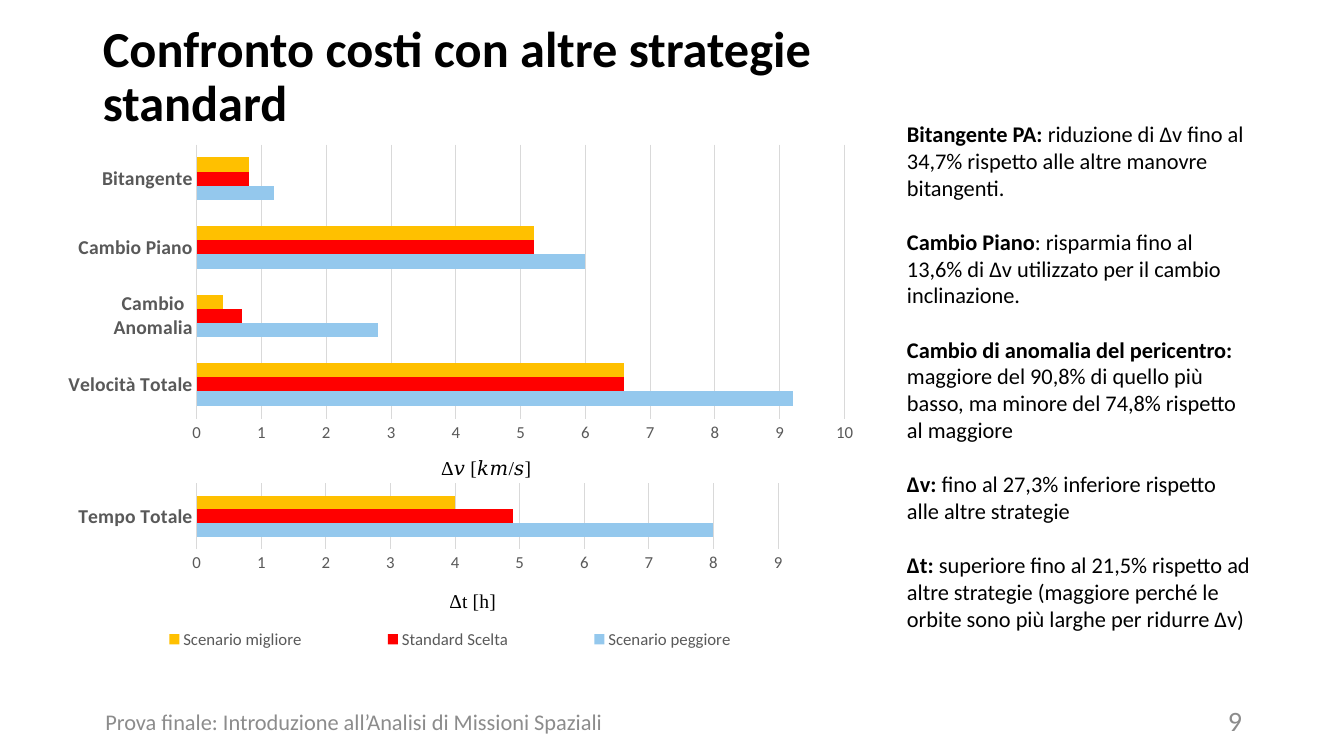
from dataclasses import dataclass

from lxml.etree import SubElement
from pptx import Presentation
from pptx.chart.data import CategoryChartData
from pptx.dml.color import RGBColor
from pptx.enum.chart import XL_CHART_TYPE, XL_LEGEND_POSITION, XL_TICK_MARK
from pptx.enum.text import MSO_ANCHOR, MSO_AUTO_SIZE, PP_ALIGN
from pptx.oxml import parse_xml
from pptx.oxml.ns import nsdecls, qn
from pptx.util import Inches, Pt

WIDE, HIGH = Inches(13.333), Inches(7.5)

BLACK = RGBColor(0x00, 0x00, 0x00)
GREY = RGBColor(0x8C, 0x8C, 0x8C)
SLATE = RGBColor(0x59, 0x59, 0x59)
PALE = RGBColor(0xD9, 0xD9, 0xD9)
BLUE = RGBColor(0x94, 0xC8, 0xED)
RED = RGBColor(0xFF, 0x00, 0x00)
GOLD = RGBColor(0xFF, 0xC0, 0x00)

SANS, SERIF = "Calibri", "Times New Roman"


@dataclass(frozen=True)
class Box:
    """Place on the slide, in percent of its width and height."""
    left: float
    top: float
    width: float
    height: float

    def emu(self) -> tuple:
        return (int(WIDE * self.left / 100), int(HIGH * self.top / 100),
                int(WIDE * self.width / 100), int(HIGH * self.height / 100))


@dataclass(frozen=True)
class Bars:
    """A bar chart; layouts are shares of the chart's own frame."""
    box: Box
    cats: tuple
    names: tuple
    rows: tuple
    peak: int
    unit: str
    plot: tuple
    label: tuple
    legend: tuple = ()


@dataclass(frozen=True)
class Note:
    head: str
    body: str


CHARTS = (
    Bars(Box(4.13, 15.2, 61.8, 49.07),
         ("Velocità Totale", "Cambio Anomalia", "Cambio Piano", "Bitangente"),
         ("Series 1", "Series 2", "Series 3"),
         ((9.2, 2.8, 6, 1.2), (6.6, 0.7, 5.2, 0.8), (6.6, 0.4, 5.2, 0.8)),
         10, "Δ𝑣 [𝑘𝑚/𝑠]", (0.17, 0.08, 0.78, 0.74), (0.46, 0.91)),
    Bars(Box(4.13, 61.6, 61.8, 29.07),
         ("Tempo Totale",),
         ("Scenario peggiore", "Standard Scelta", "Scenario migliore"),
         ((8,), (4.9,), (4,)),
         9, "Δt [h]", (0.17, 0.08, 0.7, 0.3), (0.47, 0.54),
         (0.04, 0.72, 0.87, 0.14)),
)

NOTES = (
    Note("Bitangente PA: ", "riduzione di Δv fino al 34,7% rispetto alle altre "
         "manovre bitangenti."),
    Note("Cambio Piano", ": risparmia fino al 13,6% di Δv utilizzato per il "
         "cambio inclinazione."),
    Note("Cambio di anomalia del pericentro: ", "maggiore del 90,8% di quello "
         "più basso, ma minore del 74,8% rispetto al maggiore"),
    Note("Δv: ", "fino al 27,3% inferiore rispetto alle altre strategie"),
    Note("Δt: ", "superiore fino al 21,5% rispetto ad altre strategie "
         "(maggiore perché le orbite sono più larghe per ridurre Δv)"),
)


def style(font, size: float, color: RGBColor, bold: bool = False,
          face: str = SANS) -> None:
    font.size, font.bold, font.name = Pt(size), bold, face
    font.color.rgb = color


def write(para, text: str, *, size: float = 16, color: RGBColor = BLACK,
          bold: bool = False, face: str = SANS, align=PP_ALIGN.LEFT) -> None:
    para.alignment = align
    run = para.add_run()
    run.text = text
    style(run.font, size, color, bold, face)


def frame(shape, box: Box, anchor=MSO_ANCHOR.MIDDLE, wrap: bool = True):
    shape.left, shape.top, shape.width, shape.height = box.emu()
    text = shape.text_frame
    text.auto_size = MSO_AUTO_SIZE.NONE
    text.word_wrap, text.vertical_anchor = wrap, anchor
    return text


def place(node, index: int, spot: tuple, inner: bool = False) -> None:
    """Give a chart part a fixed layout as x, y and, if known, w, h."""
    for old in node.findall(qn("c:layout")):
        node.remove(old)
    layout = parse_xml(f"<c:layout {nsdecls('c')}><c:manualLayout/></c:layout>")
    rules = [("layoutTarget", "inner")] if inner else []
    rules += [("xMode", "edge"), ("yMode", "edge"), *zip("xywh", spot)]
    for tag, val in rules:
        SubElement(layout[0], qn(f"c:{tag}")).set("val", str(val))
    node.insert(index, layout)


def draw(slide, bars: Bars) -> None:
    data = CategoryChartData()
    data.categories = bars.cats
    for name, row in zip(bars.names, bars.rows):
        data.add_series(name, row)
    chart = slide.shapes.add_chart(
        XL_CHART_TYPE.BAR_CLUSTERED, *bars.box.emu(), data).chart
    style(chart.font, 10, BLACK)
    chart.has_title = False

    # Bars
    plot = chart.plots[0]
    plot.gap_width, plot.overlap, plot.vary_by_categories = 182, 0, False
    for series, color in zip(plot.series, (BLUE, RED, GOLD)):
        series.format.fill.solid()
        series.format.fill.fore_color.rgb = color
        series.invert_if_negative = False
    place(chart._chartSpace.chart.plotArea, 0, bars.plot, inner=True)

    # Axes
    cat, val = chart.category_axis, chart.value_axis
    for axis, size in ((cat, 14), (val, 12)):
        axis.major_tick_mark = axis.minor_tick_mark = XL_TICK_MARK.NONE
        style(axis.tick_labels.font, size, SLATE, bold=axis is cat)
    cat.has_major_gridlines = False
    val.has_major_gridlines = True
    val.minimum_scale, val.maximum_scale, val.major_unit = 0, bars.peak, 1
    val.format.line.fill.background()
    for line in (cat.format.line, val.major_gridlines.format.line):
        line.color.rgb, line.width = PALE, Pt(0.75)
    title = val.axis_title
    write(title.text_frame.paragraphs[0], bars.unit, size=14, face=SERIF,
          align=PP_ALIGN.CENTER)
    place(title._element, 1, bars.label)

    # Legend
    chart.has_legend = bool(bars.legend)
    if bars.legend:
        key = chart.legend
        key.position, key.include_in_layout = XL_LEGEND_POSITION.BOTTOM, False
        style(key.font, 12, SLATE)
        place(key._element, 1, bars.legend)


def main() -> None:
    deck = Presentation()
    deck.slide_width, deck.slide_height = WIDE, HIGH
    slide = deck.slides.add_slide(deck.slide_layouts[5])

    # Title
    head = frame(slide.shapes.title, Box(6.9, 6, 66, 8.67)).paragraphs[0]
    head.line_spacing = 0.9
    write(head, "Confronto costi con altre strategie standard", size=36,
          bold=True)

    # Charts
    for bars in CHARTS:
        draw(slide, bars)

    # Remarks
    box = Box(66.75, 15.2, 27, 69.6)
    side = frame(slide.shapes.add_textbox(*box.emu()), box, MSO_ANCHOR.TOP)
    for rank, note in enumerate(NOTES):
        para = side.add_paragraph() if rank else side.paragraphs[0]
        if rank:
            para.space_before = Pt(19.5)
        write(para, note.head, bold=True)
        write(para, note.body)

    # Footer and page number
    for box, text, size, align, wrap in (
            (Box(6.9, 92.93, 38.85, 4.93),
             "Prova finale: Introduzione all’Analisi di Missioni Spaziali",
             16, PP_ALIGN.CENTER, False),
            (Box(70.65, 92.67, 22.5, 5.33), "9", 20, PP_ALIGN.RIGHT, True)):
        foot = frame(slide.shapes.add_textbox(*box.emu()), box, wrap=wrap)
        write(foot.paragraphs[0], text, size=size, color=GREY, align=align)

    deck.save("out.pptx")


if __name__ == "__main__":
    main()
